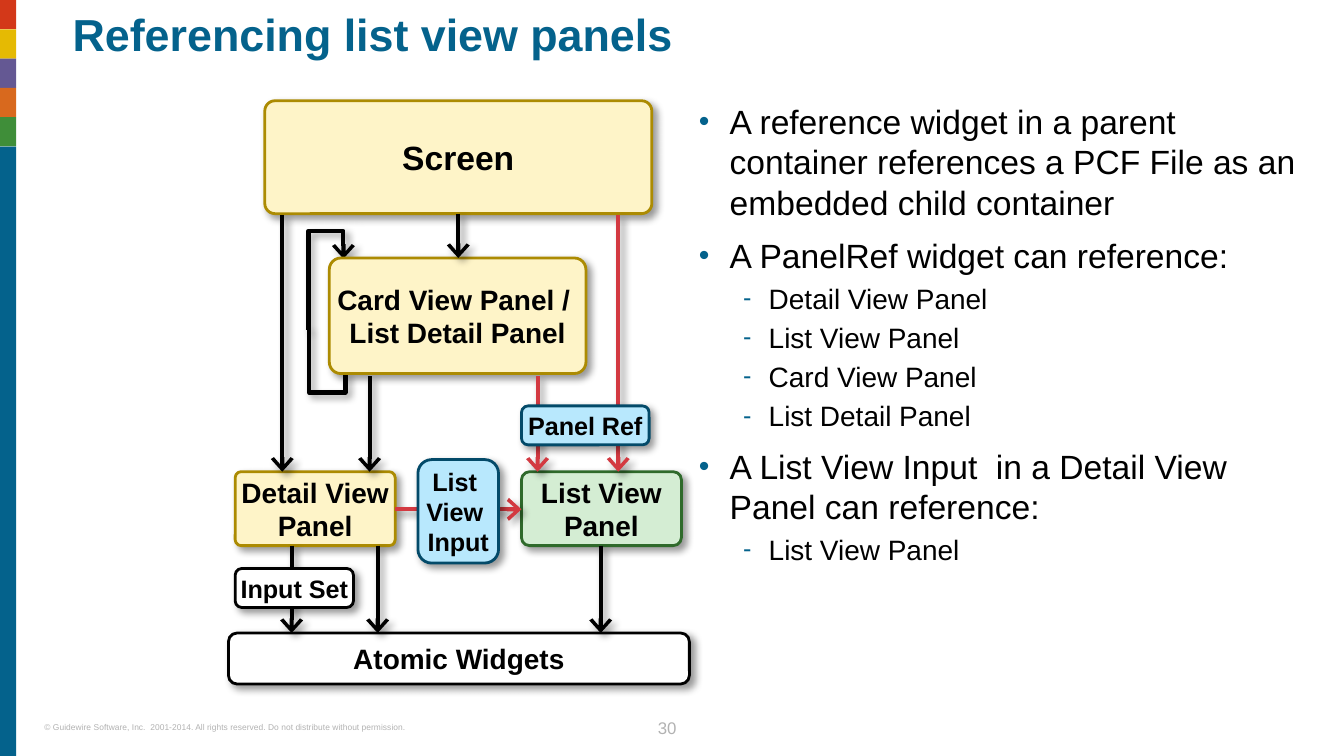
from dataclasses import dataclass

from lxml import etree
from pptx import Presentation
from pptx import util as u
from pptx.dml.color import RGBColor
from pptx.enum import shapes, text
from pptx.oxml.ns import qn

WIDTH = 10
HEIGHT = WIDTH * 9 / 16
COLUMNS = 100
CELL = WIDTH / COLUMNS


@dataclass(frozen=True)
class Theme:
    font: str = "Arial"
    blue: str = "04628C"
    black: str = "000000"
    white: str = "FFFFFF"
    gray: str = "B2B2B2"
    red: str = "D33941"
    cream: str = "FEF4C8"
    gold: str = "AC8B02"
    mint: str = "D4EDD3"
    green: str = "2F6A2B"
    sky: str = "B8E8FD"
    navy: str = "034A69"
    bands: tuple = ("D33819", "E5BA03", "645893", "D8691E", "3F8E39")
    title: float = 24
    large: float = 18
    medium: float = 15
    label: float = 13.5
    number: float = 9
    legal: float = 4.5
    border: float = 1.5
    arrow: float = 2.25


THEME = Theme()


@dataclass(frozen=True)
class Node:
    label: str
    area: tuple
    fill: str
    edge: str
    size: float = THEME.medium
    corner: float = 0.17


@dataclass(frozen=True)
class Arrow:
    start: tuple
    end: tuple
    color: str = THEME.black


@dataclass(frozen=True)
class Loop:
    area: tuple
    frame: dict
    bend: float
    head: bool


@dataclass(frozen=True)
class Level:
    bullet: str
    size: float
    margin: float
    hanging: float
    before: float


MAIN = Level("•", THEME.large, 2.3, 2.3, 7.2)
SUB = Level("-", THEME.medium, 5.2, 1.9, 3)

LOOPS = (
    Loop((22.7, 24.7, 3.3, 2.7), {"rot": 270 * 60000, "flipV": 1}, -0.46, False),
    Loop((21.6, 20.6, 5.3, 2.6), {"rot": 90 * 60000}, -0.39, True),
)
PANELS = (
    Node("Screen", (19.7, 7.5, 28.8, 8.4), THEME.cream, THEME.gold, THEME.large, 0.09),
    Node("Card View Panel / \nList Detail Panel", (24.5, 19.2, 19.1, 8.6),
         THEME.cream, THEME.gold, corner=0.1),
    Node("Detail View\nPanel", (17.5, 35.1, 11.9, 5.5), THEME.cream, THEME.gold, corner=0.08),
    Node("List View\nPanel", (38.8, 35.1, 11.9, 5.5), THEME.mint, THEME.green, corner=0.11),
    Node("Atomic Widgets", (17, 47.1, 34.3, 3.8), THEME.white, THEME.black),
)
ARROWS = (
    Arrow((34.1, 15.9), (34.1, 19.2)),
    Arrow((40, 28), (40, 35.1), THEME.red),
    Arrow((27.5, 28), (27.5, 35.1)),
    Arrow((21, 16), (21, 35.1)),
    Arrow((46, 16), (46, 35.1), THEME.red),
    *(Arrow((column, 40.6), (column, 47.1)) for column in (28.1, 44.7, 21.7)),
    Arrow((29.4, 37.9), (38.8, 37.9), THEME.red),
)
REFERENCES = (
    Node("Input Set", (17.5, 42.3, 8.8, 2.9), THEME.white, THEME.black, THEME.label),
    Node("Panel Ref", (38.8, 30.2, 9.5, 2.9), THEME.sky, THEME.navy, THEME.label),
    Node("List \nView \nInput", (31.1, 34.2, 6, 7.7), THEME.sky, THEME.navy, THEME.label),
)
POINTS = (
    (MAIN, "A reference widget in a parent container references a PCF File as an "
           "embedded child container"),
    (MAIN, "A PanelRef widget can reference:"),
    (SUB, "Detail View Panel"),
    (SUB, "List View Panel"),
    (SUB, "Card View Panel"),
    (SUB, "List Detail Panel"),
    (MAIN, "A List View Input  in a Detail View Panel can reference:"),
    (SUB, "List View Panel"),
)


def grid(*cells: float) -> list:
    return [u.Inches(cell * CELL) for cell in cells]


def assign(target, values: dict) -> None:
    for name, value in values.items():
        setattr(target, name, value)


def add_node(parent, tag: str, **values):
    return etree.SubElement(parent, qn(tag), {key: str(value) for key, value in values.items()})


def write(para, words: str, size: float, color: str, bold: bool = False) -> None:
    para.text = words
    for span in para.runs:
        assign(span.font, {"name": THEME.font, "size": u.Pt(size), "bold": bold})
        span.font.color.rgb = RGBColor.from_string(color)
    for line_break in para._p.findall(qn("a:br")):
        add_node(line_break, "a:rPr", sz=int(size * 100))


def set_frame(frame, wrap: bool, anchor) -> None:
    assign(frame, {"margin_left": 0, "margin_right": 0, "margin_top": 0, "margin_bottom": 0,
                   "word_wrap": wrap, "vertical_anchor": anchor})


def add_text(page, area: tuple):
    frame = page.shapes.add_textbox(*grid(*area)).text_frame
    set_frame(frame, True, text.MSO_ANCHOR.TOP)
    return frame


def cast_shadow(effects) -> None:
    shadow = add_node(effects, "a:outerShdw", blurRad=u.Pt(4), dist=u.Pt(3),
                      dir=45 * 60000, algn="tl", rotWithShape=0)
    add_node(add_node(shadow, "a:srgbClr", val=THEME.black), "a:alpha", val=40000)


def add_band(page, area: tuple, color: str) -> None:
    band = page.shapes.add_shape(shapes.MSO_SHAPE.RECTANGLE, *grid(*area))
    band.shadow.inherit = False
    band.fill.solid()
    band.fill.fore_color.rgb = RGBColor.from_string(color)
    band.line.fill.background()


def add_panel(page, node: Node) -> None:
    box = page.shapes.add_shape(shapes.MSO_SHAPE.ROUNDED_RECTANGLE, *grid(*node.area))
    box.adjustments[0] = node.corner
    box.fill.solid()
    box.fill.fore_color.rgb = RGBColor.from_string(node.fill)
    box.line.color.rgb = RGBColor.from_string(node.edge)
    box.line.width = u.Pt(THEME.border)
    box.shadow.inherit = False
    cast_shadow(box._element.spPr.find(qn("a:effectLst")))
    set_frame(box.text_frame, False, text.MSO_ANCHOR.MIDDLE)
    para = box.text_frame.paragraphs[0]
    para.alignment = text.PP_ALIGN.CENTER
    write(para, node.label, node.size, THEME.black, True)


def add_line(page, kind, start: tuple, end: tuple, color: str, tip: str = "a:tailEnd"):
    line = page.shapes.add_connector(kind, *grid(*start, *end))
    line.line.color.rgb = RGBColor.from_string(color)
    line.line.width = u.Pt(THEME.arrow)
    outline = line._element.spPr
    if tip:
        add_node(outline.find(qn("a:ln")), tip, type="arrow", w="lg", len="med")
    cast_shadow(add_node(outline, "a:effectLst"))
    return line


def add_loop(page, loop: Loop) -> None:
    left, top, width, height = loop.area
    line = add_line(page, shapes.MSO_CONNECTOR.ELBOW, (left, top), (left + width, top + height),
                    THEME.black, "a:headEnd" if loop.head else "")
    outline = line._element.spPr
    for name, value in loop.frame.items():
        outline.find(qn("a:xfrm")).set(name, str(value))
    guides = outline.find(qn("a:prstGeom")).find(qn("a:avLst"))
    add_node(guides, "a:gd", name="adj1", fmla=f"val {round(loop.bend * 100000)}")


def add_points(page) -> None:
    frame = add_text(page, (52, 7.5, 44.7, 44.9))
    for index, (level, words) in enumerate(POINTS):
        para = frame.add_paragraph() if index else frame.paragraphs[0]
        para.level = int(level is SUB)
        para.space_before = u.Pt(level.before if index else 0)
        margin, hanging = grid(level.margin, level.hanging)
        props = para._p.get_or_add_pPr()
        props.set("marL", str(margin))
        props.set("indent", str(-hanging))
        add_node(add_node(props, "a:buClr"), "a:srgbClr", val=THEME.blue)
        add_node(props, "a:buSzPct", val=90000)
        add_node(props, "a:buFont", typeface=THEME.font)
        add_node(props, "a:buChar", char=level.bullet)
        write(para, words, level.size, THEME.black)


def main() -> None:
    deck = Presentation()
    assign(deck, {"slide_width": u.Inches(WIDTH), "slide_height": u.Inches(HEIGHT)})
    page = deck.slides.add_slide(deck.slide_layouts[6])

    legal = add_text(page, (3.3, 53.7, 40.2, 0.8)).paragraphs[0]
    write(legal, "© Guidewire Software, Inc.  2001-2014. All rights reserved. "
                 "Do not distribute without permission.", THEME.legal, THEME.gray)
    band = 2.18
    for index, color in enumerate(THEME.bands):
        add_band(page, (0, index * band, 1.2, band), color)
    rail = len(THEME.bands) * band
    add_band(page, (0, rail, 1.2, HEIGHT / CELL - rail), THEME.blue)
    number = add_text(page, (46.8, 53, 5.7, 1.9)).paragraphs[0]
    assign(number, {"alignment": text.PP_ALIGN.CENTER, "line_spacing": u.Pt(13.5)})
    write(number, "30", THEME.number, THEME.gray)

    for loop in LOOPS:
        add_loop(page, loop)
    title = add_text(page, (5.4, 0.95, 91, 6.1)).paragraphs[0]
    title.line_spacing = 0.9
    write(title, "Referencing list view panels", THEME.title, THEME.blue, True)
    add_points(page)
    for node in PANELS:
        add_panel(page, node)
    for arrow in ARROWS:
        add_line(page, shapes.MSO_CONNECTOR.STRAIGHT, arrow.start, arrow.end, arrow.color)
    for node in REFERENCES:
        add_panel(page, node)
    deck.save("out.pptx")


if __name__ == "__main__":
    main()
